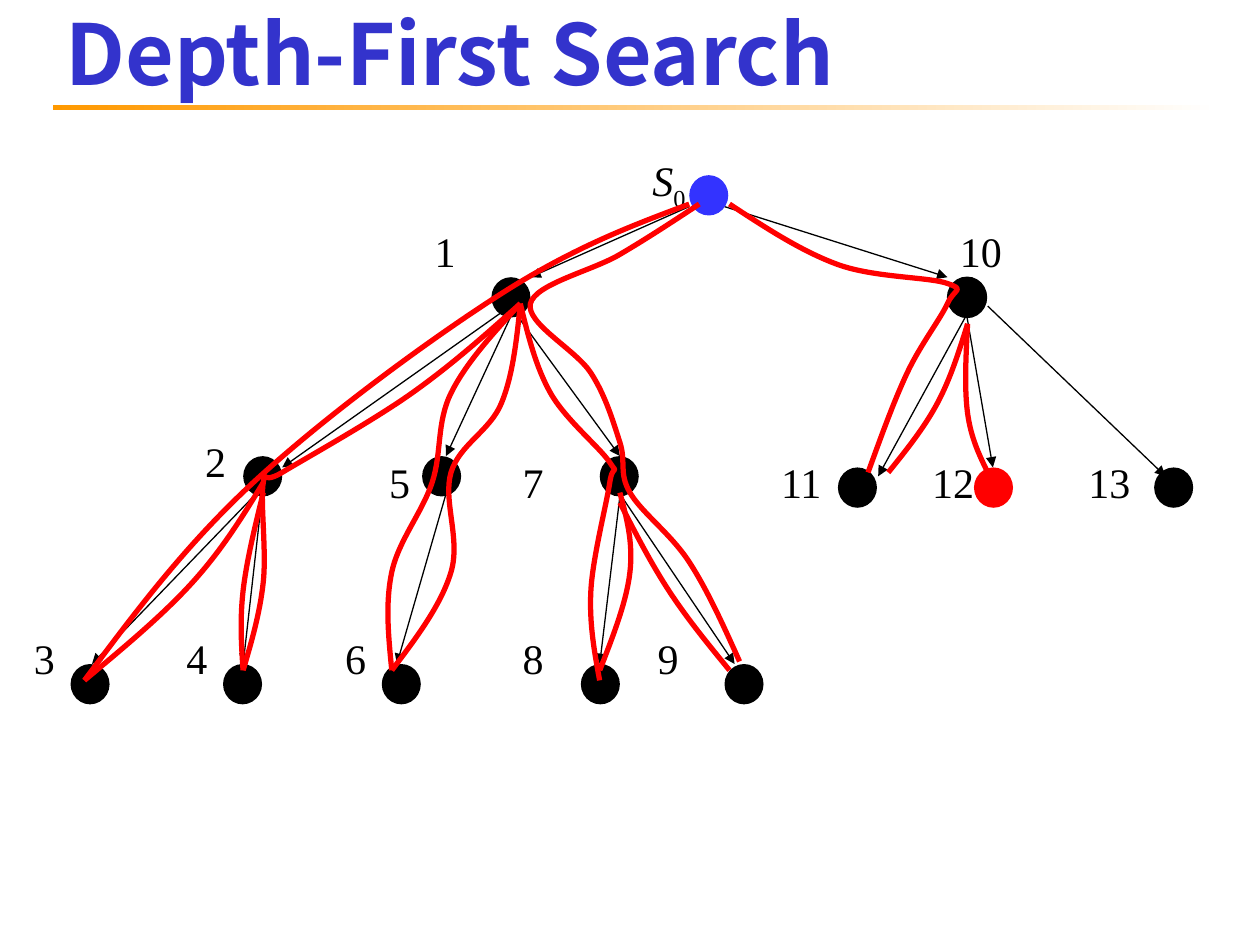
import dataclasses

import lxml.etree
import pptx
import pptx.dml.color
import pptx.enum.dml
import pptx.enum.shapes
import pptx.enum.text
import pptx.oxml.ns
import pptx.util

Inches = pptx.util.Inches
Pt = pptx.util.Pt
RGBColor = pptx.dml.color.RGBColor
qn = pptx.oxml.ns.qn


@dataclasses.dataclass(frozen=True)
class Theme:
    title_font: str = "Noto Sans CJK SC"
    label_font: str = "Times New Roman"
    title_size: int = 48
    label_size: int = 24
    title_color: str = "3333CC"
    rule_start: str = "FF9900"
    rule_end: str = "FFFFFF"
    ink: str = "000000"
    start: str = "3333FF"
    red: str = "FF0000"
    edge_width: float = 0.75
    trail_width: float = 3


THEME = Theme()
NODE_SIZE = (0.31, 0.32)
LABEL_SIZE = (0.71, 0.5)

LABELS = [
    ("1", 3.35, 1.7), ("2", 1.53, 3.37), ("3", 0.17, 4.93), ("4", 1.38, 4.93),
    ("5", 2.99, 3.53), ("6", 2.64, 4.93), ("7", 4.05, 3.53), ("8", 4.05, 4.93),
    ("9", 5.12, 4.93), ("10", 7.52, 1.7), ("11", 6.1, 3.53),
    ("12", 7.3, 3.53), ("13", 8.54, 3.53),
]

EDGES = [
    ((5.47, 1.64), (4.21, 2.2)), ((4.05, 2.43), (2.24, 3.71)),
    ((2.08, 3.87), (0.73, 5.27)), ((2.08, 3.94), (1.93, 5.27)),
    ((4.05, 2.52), (3.54, 3.62)), ((3.54, 3.92), (3.15, 5.27)),
    ((4.05, 2.43), (4.92, 3.62)), ((4.92, 3.94), (4.76, 5.27)),
    ((4.92, 3.92), (5.83, 5.27)), ((5.75, 1.64), (7.52, 2.2)),
    ((7.66, 2.52), (6.97, 3.78)), ((7.66, 2.43), (7.88, 3.71)),
    ((7.84, 2.43), (9.25, 3.78)),
]

NODE_ROWS = {
    2.2: [3.9],
    5.27: [0.56, 1.77, 3.03, 4.61, 5.75],
    3.62: [1.93, 3.35, 4.76],
    3.71: [6.65, 9.16],
}

TRAILS = [
    [(5.47, 1.62), (3.98, 2.33), (2.01, 3.83), (0.67, 5.4)],
    [(0.67, 5.4), (1.53, 4.62), (2.09, 3.83)],
    [(2.09, 3.91), (1.93, 4.69), (1.93, 5.32)],
    [(1.93, 5.32), (2.09, 4.62), (2.09, 3.83), (2.24, 3.75), (3.27, 3.12), (4.13, 2.41)],
    [(4.13, 2.41), (3.58, 3.12), (3.43, 3.83), (3.11, 4.54), (3.11, 5.32)],
    [(3.11, 5.32), (3.58, 4.54), (3.58, 3.75), (3.98, 3.2), (4.13, 2.41)],
    [(4.13, 2.41), (4.37, 3.12), (4.84, 3.67), (4.84, 3.83), (4.69, 4.69), (4.76, 5.4)],
    [(4.76, 5.32), (5, 4.54), (4.92, 3.91)],
    [(4.92, 3.99), (5.31, 4.69), (5.79, 5.32)],
    [(5.87, 5.25), (5.47, 4.46), (5, 3.91), (4.92, 3.51), (4.69, 2.96),
     (4.21, 2.41), (4.92, 2.02), (5.55, 1.62)],
    [(5.79, 1.62), (6.65, 2.1), (7.52, 2.25), (7.52, 2.41), (7.2, 2.96), (6.89, 3.75)],
    [(7.05, 3.75), (7.44, 3.2), (7.68, 2.57)],
    [(7.68, 2.57), (7.68, 3.28), (7.84, 3.75)],
]


def rgb(color):
    return RGBColor.from_string(color)


def add_text(slide, text, left, top, width, height, font_name, size, color):
    shape = slide.shapes.add_textbox(Inches(left), Inches(top), Inches(width), Inches(height))
    shape.text_frame.word_wrap = True
    paragraph = shape.text_frame.paragraphs[0]
    paragraph.add_run().text = text
    paragraph.font.name = font_name
    paragraph.font.size = Pt(size)
    paragraph.font.color.rgb = rgb(color)
    return shape.text_frame


def add_title(slide):
    frame = add_text(slide, "Depth-First Search", 0.42, 0, 9.58, 0.83,
                     THEME.title_font, THEME.title_size, THEME.title_color)
    frame.vertical_anchor = pptx.enum.text.MSO_ANCHOR.MIDDLE
    frame.paragraphs[0].font.bold = True


def add_title_rule(slide):
    shape = slide.shapes.add_shape(
        pptx.enum.shapes.MSO_SHAPE.RECTANGLE,
        Inches(0.42), Inches(0.83), Inches(9.25), Inches(0.04))
    shape.shadow.inherit = False
    shape.line.fill.background()
    shape.fill.gradient()
    shape.fill.gradient_angle = 0
    for stop, color in zip(shape.fill.gradient_stops, (THEME.rule_start, THEME.rule_end)):
        stop.color.rgb = rgb(color)


def add_label(slide, text, left, top):
    frame = add_text(slide, text, left, top, *LABEL_SIZE,
                     THEME.label_font, THEME.label_size, THEME.ink)
    frame.margin_top = Inches(0.09)
    return frame.paragraphs[0]


def add_start_label(slide):
    paragraph = add_label(slide, "S", 5.08, 1.14)
    paragraph.runs[0].font.italic = True
    subscript = paragraph.add_run()
    subscript.text = "0"
    subscript.font._element.set("baseline", "-25000")


def add_edge(slide, start, end):
    connector = slide.shapes.add_connector(
        pptx.enum.shapes.MSO_CONNECTOR.STRAIGHT,
        *(Inches(value) for value in start + end))
    connector.line.color.rgb = rgb(THEME.ink)
    connector.line.width = Pt(THEME.edge_width)
    properties = connector._element.spPr
    lxml.etree.SubElement(properties.find(qn("a:ln")), qn("a:tailEnd"), type="triangle")
    lxml.etree.SubElement(properties, qn("a:effectLst"))


def add_node(slide, left, top, color, outlined=False):
    shape = slide.shapes.add_shape(
        pptx.enum.shapes.MSO_SHAPE.OVAL,
        Inches(left), Inches(top), *(Inches(value) for value in NODE_SIZE))
    shape.shadow.inherit = False
    shape.fill.solid()
    shape.fill.fore_color.rgb = rgb(color)
    if outlined:
        shape.line.color.rgb = rgb(color)
        shape.line.width = Pt(THEME.edge_width)
    else:
        shape.line.fill.background()


def midpoint(first, second):
    return tuple((a + b) / 2 for a, b in zip(first, second))


def curve_points(points):
    before, after = {}, {}
    last = len(points) - 1
    for index in range(1, last):
        previous, current, following = points[index - 1:index + 2]
        tangent = [(b - a) / 6 for a, b in zip(previous, following)]
        before[index] = tuple(c - t for c, t in zip(current, tangent))
        after[index] = tuple(c + t for c, t in zip(current, tangent))
    after[0] = midpoint(points[0], before[1])
    before[last] = midpoint(points[last], after[last - 1])
    return [point for index in range(last)
            for point in (after[index], before[index + 1], points[index + 1])]


def add_trail(slide, points):
    builder = slide.shapes.build_freeform(*(Inches(value) for value in points[0]))
    builder.add_line_segments(
        [(Inches(x), Inches(y)) for x, y in curve_points(points)], close=False)
    shape = builder.convert_to_shape()
    segments = shape._element.xpath(".//a:lnTo")
    for index in range(0, len(segments), 3):
        curve = lxml.etree.Element(qn("a:cubicBezTo"))
        segments[index].addprevious(curve)
        for segment in segments[index:index + 3]:
            curve.append(segment[0])
            segment.getparent().remove(segment)
    shape.shadow.inherit = False
    shape.fill.background()
    shape.line.color.rgb = rgb(THEME.red)
    shape.line.width = Pt(THEME.trail_width)


def main():
    presentation = pptx.Presentation()
    presentation.slide_width = Inches(10)
    presentation.slide_height = Inches(7.5)
    slide = presentation.slides.add_slide(presentation.slide_layouts[6])
    add_title_rule(slide)
    add_title(slide)
    add_start_label(slide)
    for label in LABELS:
        add_label(slide, *label)
    for edge in EDGES:
        add_edge(slide, *edge)
    for top, lefts in NODE_ROWS.items():
        for left in lefts:
            add_node(slide, left, top, THEME.ink)
    add_node(slide, 7.73, 3.71, THEME.red)
    add_node(slide, 7.52, 2.2, THEME.ink, outlined=True)
    add_node(slide, 5.47, 1.39, THEME.start)
    for trail in TRAILS:
        add_trail(slide, trail)
    presentation.save("out.pptx")


if __name__ == "__main__":
    main()
